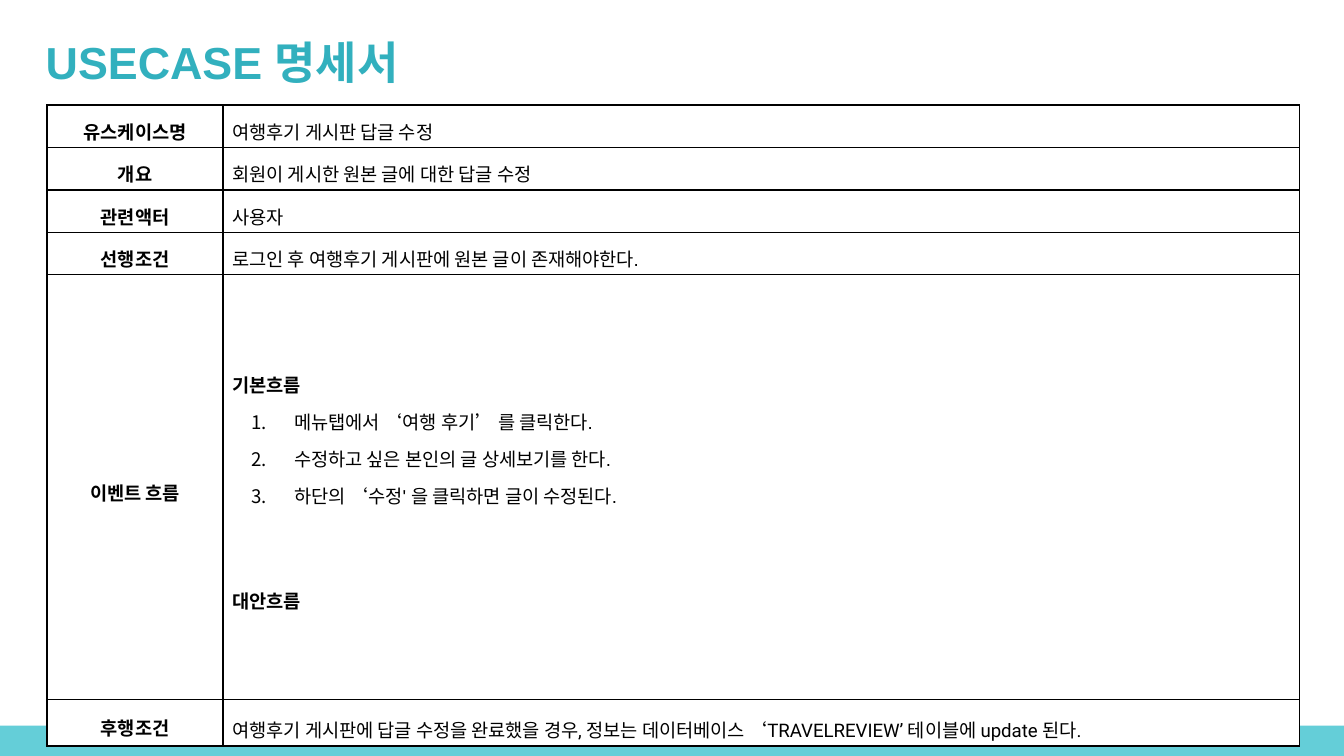
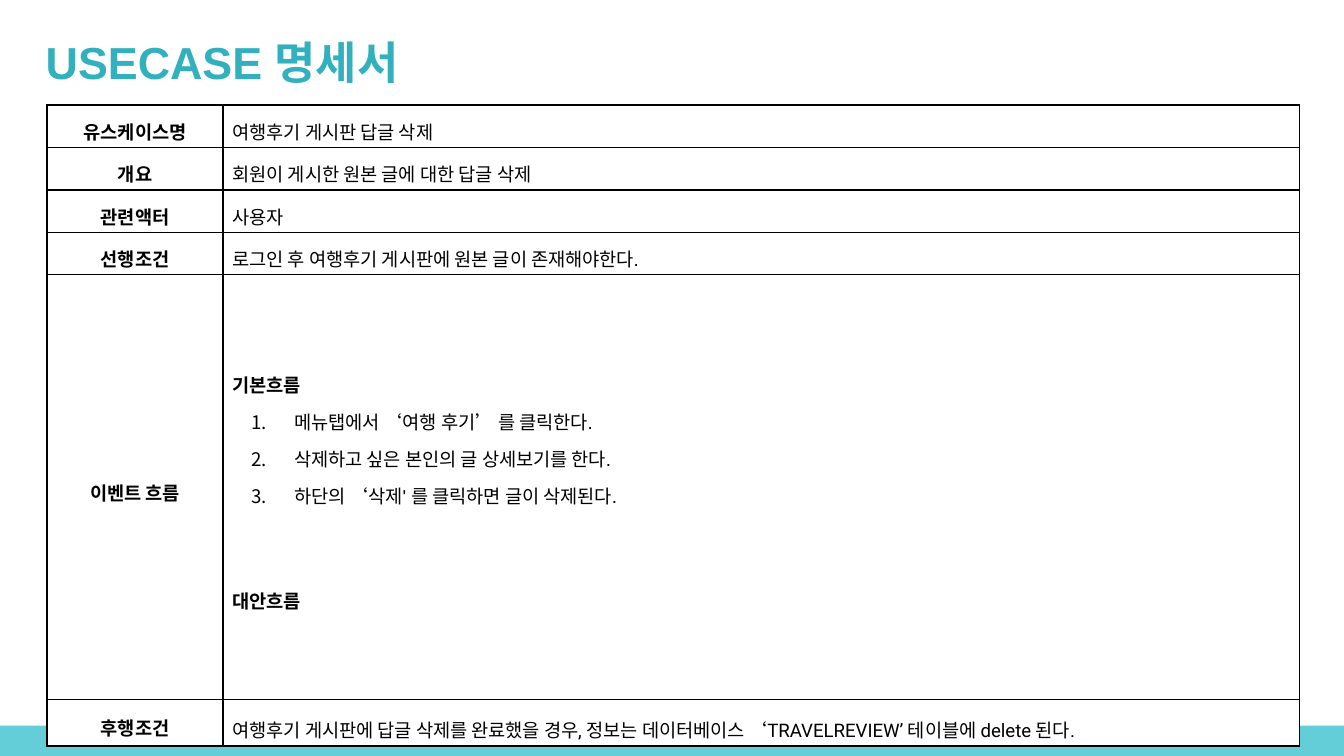
"""Build two use case specification slides for editing and deleting board replies."""
import pptx
import pptx.dml.color
import pptx.enum.shapes
import pptx.enum.text
import pptx.oxml
import pptx.oxml.ns
import pptx.util

COLORS = {"band": "64CED8", "title": "32B0BE", "ink": "000000", "paper": "FFFFFF"}
ALIGN = pptx.enum.text.PP_ALIGN
MIDDLE = pptx.enum.text.MSO_ANCHOR.MIDDLE
WIDTH = pptx.util.Inches(10)
HEIGHT = pptx.util.Inches(5.625)
LABELS = ["유스케이스명", "개요", "관련액터", "선행조건", "이벤트 흐름", "후행조건"]
COLUMN_SHARES = [13.1, 80.1]
ROW_SHARES = [5.62] * 4 + [56.2, 6.13]


def across(percent):
    return round(WIDTH * percent / 100)


def down(percent):
    return round(HEIGHT * percent / 100)


def color(name):
    return pptx.dml.color.RGBColor.from_string(COLORS[name])


def set_insets(holder, left, top, right, bottom):
    holder.margin_left, holder.margin_right = pptx.util.Inches(left), pptx.util.Inches(right)
    holder.margin_top, holder.margin_bottom = pptx.util.Inches(top), pptx.util.Inches(bottom)


def write(paragraph, text, size=10, ink="ink", bold=False, font="Arial", spacing=1.38):
    paragraph.line_spacing = spacing
    run = paragraph.add_run()
    run.text = text
    run.font.size = pptx.util.Pt(size)
    run.font.name = font
    run.font.bold = bold
    run.font.color.rgb = color(ink)


def add_xml(parent, tag, content="", attributes=""):
    namespace = pptx.oxml.ns.nsdecls("a")
    parent.append(pptx.oxml.parse_xml(f"<a:{tag} {namespace} {attributes}>{content}</a:{tag}>"))


def number(paragraph):
    properties = paragraph._p.get_or_add_pPr()
    properties.set("marL", str(pptx.util.Inches(0.46)))
    properties.set("indent", str(pptx.util.Inches(-0.32)))
    add_xml(properties, "buClr", f'<a:srgbClr val="{COLORS["ink"]}"/>')
    add_xml(properties, "buFont", attributes='typeface="Arial"')
    add_xml(properties, "buAutoNum", attributes='type="arabicPeriod"')


def style_cell(cell, left):
    properties = cell._tc.get_or_add_tcPr()
    for side in ("lnL", "lnR", "lnT", "lnB"):
        add_xml(properties, side,
                f'<a:solidFill><a:srgbClr val="{COLORS["ink"]}"/></a:solidFill>',
                f'w="{pptx.util.Pt(0.75)}"')
    cell.fill.solid()
    cell.fill.fore_color.rgb = color("paper")
    cell.vertical_anchor = MIDDLE
    set_insets(cell, left, 0.02, 0.03, 0.02)


def add_band(slide):
    band = slide.shapes.add_shape(pptx.enum.shapes.MSO_SHAPE.RECTANGLE,
                                  0, down(96), WIDTH, down(4))
    band.shadow.inherit = False
    band.fill.solid()
    band.fill.fore_color.rgb = color("band")
    band.line.fill.background()


def add_title(slide, text):
    title = slide.shapes.add_textbox(across(2.7), down(3.4), across(94.9), down(10.5)).text_frame
    title.word_wrap = True
    title.vertical_anchor = MIDDLE
    set_insets(title, 0.07, 0.04, 0.07, 0.04)
    write(title.paragraphs[0], text, size=24, ink="title", bold=True, spacing=0.9)


def write_flow(frame, steps):
    write(frame.paragraphs[0], "기본흐름", bold=True)
    for step in steps:
        paragraph = frame.add_paragraph()
        number(paragraph)
        write(paragraph, step)
    alternative = frame.add_paragraph()
    alternative.space_before = pptx.util.Pt(34.5)
    write(alternative, "대안흐름", bold=True, spacing=1.5)


def add_specification(slide, details):
    table = slide.shapes.add_table(len(ROW_SHARES), len(COLUMN_SHARES),
                                   across(3.5), down(13.9),
                                   across(sum(COLUMN_SHARES)), down(sum(ROW_SHARES))).table
    table.first_row = table.horz_banding = False
    for column, share in zip(table.columns, COLUMN_SHARES):
        column.width = across(share)
    for row, share, label, detail in zip(table.rows, ROW_SHARES, LABELS, details):
        row.height = down(share)
        label_cell, detail_cell = row.cells
        style_cell(label_cell, left=0.03)
        style_cell(detail_cell, left=0.07)
        heading = label_cell.text_frame.paragraphs[0]
        heading.alignment = ALIGN.CENTER
        write(heading, label, bold=True)
        frame = detail_cell.text_frame
        if isinstance(detail, list):
            write_flow(frame, detail)
        elif label == "후행조건":
            write(frame.paragraphs[0], detail, font="Roboto", spacing=1.5)
        else:
            write(frame.paragraphs[0], detail)


def use_case(action, particle, statement):
    return [
        f"여행후기 게시판 답글 {action}",
        f"회원이 게시한 원본 글에 대한 답글 {action}",
        "사용자",
        "로그인 후 여행후기 게시판에 원본 글이 존재해야한다.",
        ["메뉴탭에서 ‘여행 후기’ 를 클릭한다.",
         f"{action}하고 싶은 본인의 글 상세보기를 한다.",
         f"하단의 ‘{action}' {particle} 클릭하면 글이 {action}된다."],
        f"여행후기 게시판에 답글 {action}{particle} 완료했을 경우, "
        f"정보는 데이터베이스 ‘TRAVELREVIEW’ 테이블에 {statement} 된다.",
    ]


def main():
    deck = pptx.Presentation()
    deck.slide_width, deck.slide_height = WIDTH, HEIGHT
    for action, particle, statement in [("수정", "을", "update"), ("삭제", "를", "delete")]:
        slide = deck.slides.add_slide(deck.slide_layouts[6])
        add_band(slide)
        add_title(slide, "USECASE 명세서")
        add_specification(slide, use_case(action, particle, statement))
    deck.save("out.pptx")


if __name__ == "__main__":
    main()
